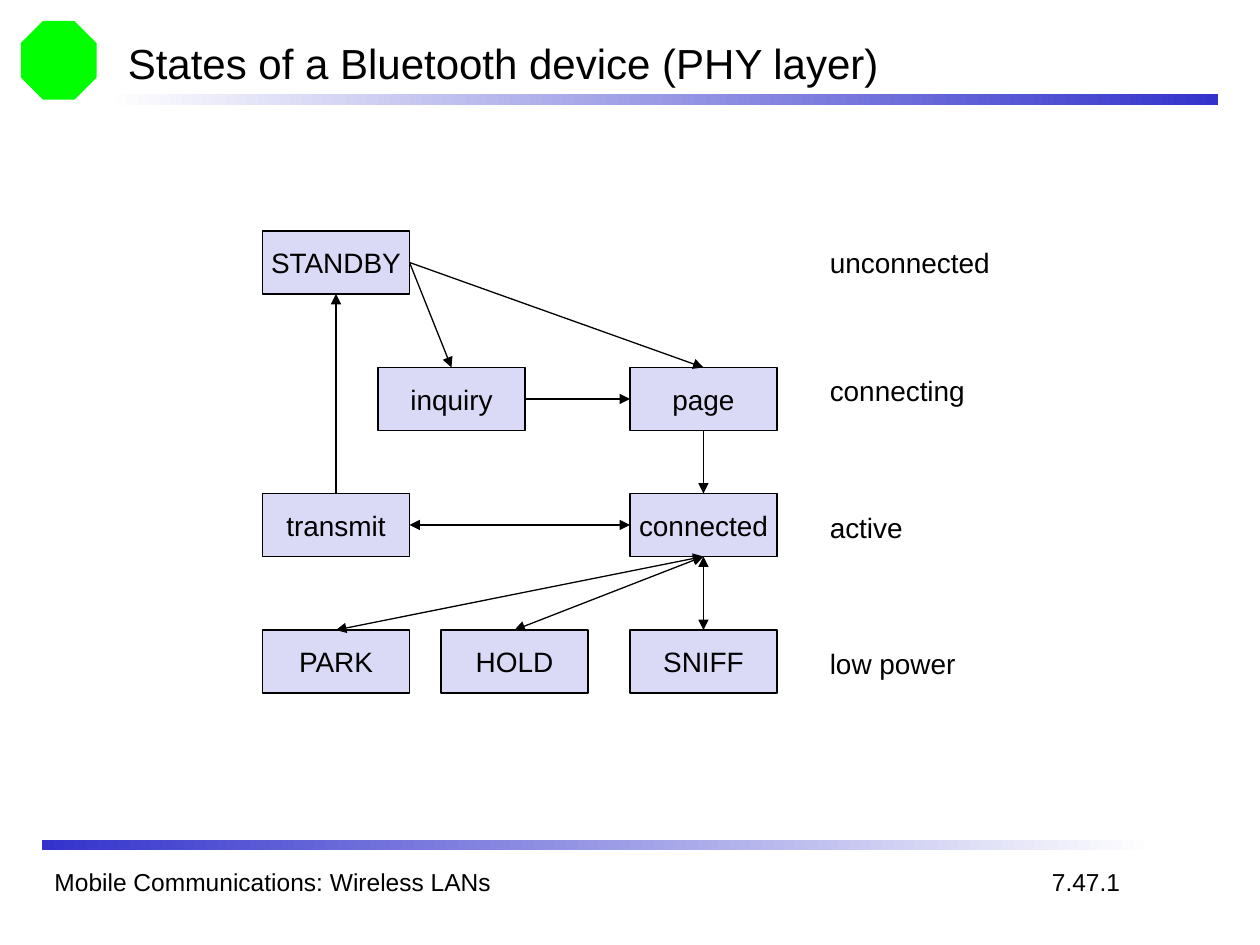
import pptx
import pptx.util
import pptx.dml.color
import pptx.enum.shapes
import pptx.enum.text
import pptx.oxml.ns
import lxml.etree

THEME = {
    "font": "Arial", "ink": "000000", "box": "DADAF6", "bar": "3333CC",
    "paper": "FFFFFF", "mark": "00FF00",
    "title": 24, "body": 16, "footer": 14, "line": 0.75,
}
RGB = pptx.dml.color.RGBColor.from_string
SHAPE = pptx.enum.shapes.MSO_SHAPE
ANCHOR = pptx.enum.text.MSO_ANCHOR
ALIGN = pptx.enum.text.PP_ALIGN
FIT = pptx.enum.text.MSO_AUTO_SIZE

prs = pptx.Presentation()
prs.slide_width = pptx.util.Inches(10)
prs.slide_height = pptx.util.Inches(7.5)
s = prs.slides.add_slide(prs.slide_layouts[6])


def grid(*cells):
    """Turn cells of a 120 by 90 grid into slide lengths."""
    return [round(c * prs.slide_width / 120) for c in cells]


def write(sp, text, size="body", align=ALIGN.LEFT, anchor=ANCHOR.TOP,
          wrap=False, fit=FIT.NONE):
    tf = sp.text_frame
    tf.word_wrap = wrap
    tf.auto_size = fit
    tf.vertical_anchor = anchor
    p = tf.paragraphs[0]
    p.alignment = align
    r = p.add_run()
    r.text = text
    r.font.name = THEME["font"]
    r.font.size = pptx.util.Pt(THEME[size])
    r.font.color.rgb = RGB(THEME["ink"])


# Plain corner mark
mark = s.shapes.add_shape(SHAPE.OCTAGON, *grid(2, 2, 7.2, 7.5))
mark.shadow.inherit = False
mark.fill.solid()
mark.fill.fore_color.rgb = RGB(THEME["mark"])
mark.line.fill.background()

# Gradient bars under the title and above the footer
for left, top, colours in [(10, 9, ("paper", "bar")), (4, 80, ("bar", "paper"))]:
    bar = s.shapes.add_shape(SHAPE.RECTANGLE, *grid(left, top, 106, 1))
    bar.shadow.inherit = False
    bar.line.fill.background()
    bar.fill.gradient()
    bar.fill.gradient_angle = 0
    for stop, colour in zip(bar.fill.gradient_stops, colours):
        stop.color.rgb = RGB(THEME[colour])

write(s.shapes.add_textbox(*grid(4, 82, 81, 4)),
      "Mobile Communications: Wireless LANs", size="footer", wrap=True)
write(s.shapes.add_textbox(*grid(11, 3, 102, 6)),
      "States of a Bluetooth device (PHY layer)", size="title",
      anchor=ANCHOR.MIDDLE, wrap=True)

# State boxes: name, column, row
states = {}
for name, col, row in [
    ("STANDBY", 25, 22), ("inquiry", 36, 35), ("page", 60, 35),
    ("connected", 60, 47), ("transmit", 25, 47),
    ("PARK", 25, 60), ("HOLD", 42, 60), ("SNIFF", 60, 60),
]:
    sp = s.shapes.add_shape(SHAPE.RECTANGLE, *grid(col, row, 14, 6))
    sp.shadow.inherit = False
    sp.fill.solid()
    sp.fill.fore_color.rgb = RGB(THEME["box"])
    sp.line.color.rgb = RGB(THEME["ink"])
    sp.line.width = pptx.util.Pt(THEME["line"])
    write(sp, name, align=ALIGN.CENTER, anchor=ANCHOR.MIDDLE)
    states[name] = sp

# Phase labels: text, row, width with a little room to spare
for text, row, width in [
    ("unconnected", 22.8, 18), ("connecting", 35, 15.6),
    ("active", 48, 9.8), ("low power", 61, 14.8),
]:
    write(s.shapes.add_textbox(*grid(77.85, row, width, 4.4)), text, wrap=True)

# Transitions between the connection sites of the boxes
TOP, LEFT, BOTTOM, RIGHT = range(4)
ONE_WAY, BOTH_WAYS = ("tailEnd",), ("headEnd", "tailEnd")
for start, out_site, end, in_site, heads in [
    ("STANDBY", RIGHT, "page", TOP, ONE_WAY),
    ("STANDBY", RIGHT, "inquiry", TOP, ONE_WAY),
    ("inquiry", RIGHT, "page", LEFT, ONE_WAY),
    ("page", BOTTOM, "connected", TOP, ONE_WAY),
    ("transmit", TOP, "STANDBY", BOTTOM, ONE_WAY),
    ("PARK", TOP, "connected", BOTTOM, BOTH_WAYS),
    ("HOLD", TOP, "connected", BOTTOM, BOTH_WAYS),
    ("SNIFF", TOP, "connected", BOTTOM, BOTH_WAYS),
    ("transmit", RIGHT, "connected", LEFT, BOTH_WAYS),
]:
    arrow = s.shapes.add_connector(
        pptx.enum.shapes.MSO_CONNECTOR.STRAIGHT, 0, 0, 0, 0)
    arrow.begin_connect(states[start], out_site)
    arrow.end_connect(states[end], in_site)
    arrow.line.color.rgb = RGB(THEME["ink"])
    arrow.line.width = pptx.util.Pt(THEME["line"])
    ln = arrow.line._get_or_add_ln()
    for head in heads:
        lxml.etree.SubElement(ln, pptx.oxml.ns.qn("a:" + head), type="triangle")
    lxml.etree.SubElement(ln.getparent(), pptx.oxml.ns.qn("a:effectLst"))

write(s.shapes.add_textbox(*grid(99, 82, 9.2, 4.1)), "7.47.1",
      size="footer", wrap=True)

prs.save("out.pptx")
